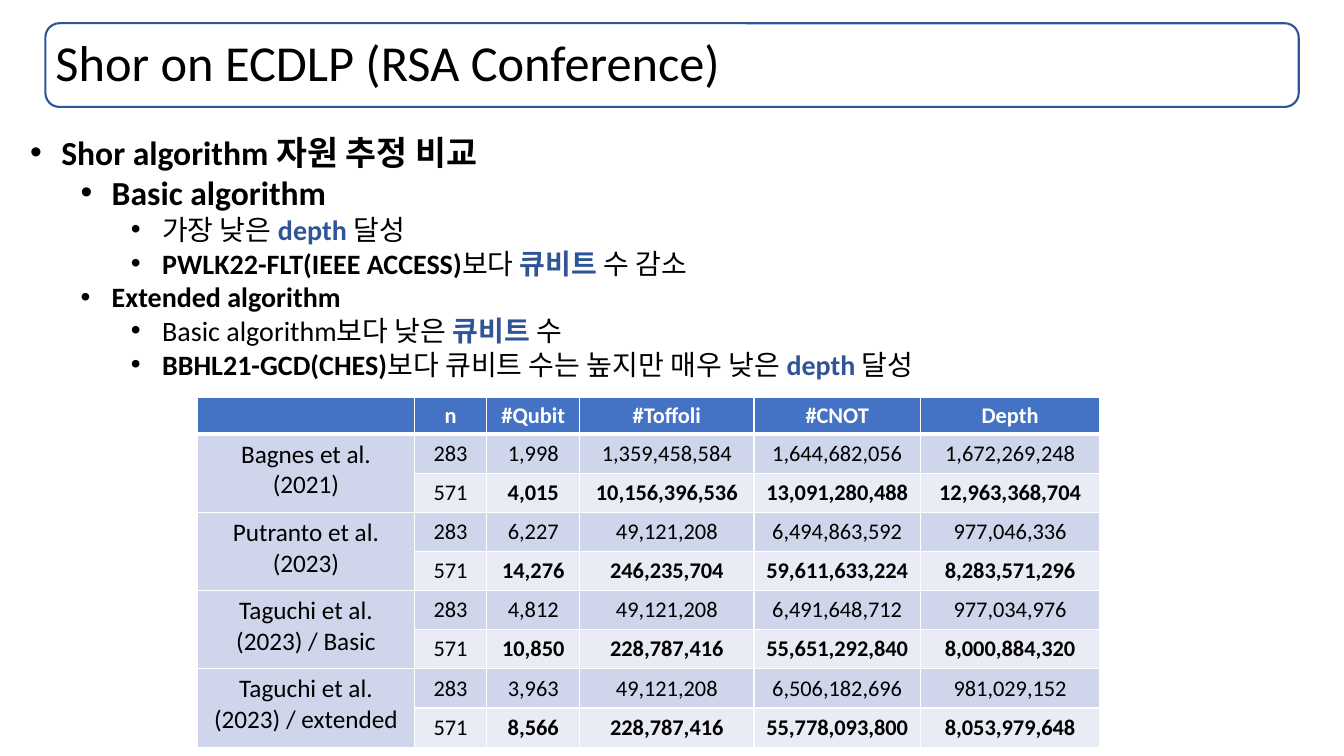
from dataclasses import dataclass

import lxml.etree
import pptx
import pptx.dml.color
import pptx.enum.shapes
import pptx.enum.text
import pptx.oxml.ns
import pptx.util

ANCHOR = pptx.enum.text.MSO_ANCHOR
ALIGN = pptx.enum.text.PP_ALIGN


@dataclass(frozen=True)
class Theme:
    font: str = "Calibri"
    text: str = "000000"
    white: str = "FFFFFF"
    accent: str = "2F5597"
    header: str = "4472C4"
    band_dark: str = "CFD5EA"
    band_light: str = "E9EBF5"
    title_size: int = 36
    heading_size: int = 24
    detail_size: int = 20
    name_size: int = 18
    cell_size: int = 16


@dataclass(frozen=True)
class Area:
    """Left, top, width and height in percent of the slide."""
    left: float
    top: float
    width: float
    height: float


@dataclass(frozen=True)
class Span:
    text: str
    bold: bool = False
    accent: bool = False


@dataclass(frozen=True)
class Bullet:
    level: int
    size: int
    spans: tuple[Span, ...]


@dataclass(frozen=True)
class Study:
    name: str
    small: tuple[str, ...]
    large: tuple[str, ...]


THEME = Theme()
SLIDE_WIDTH = pptx.util.Inches(13.33)
SLIDE_HEIGHT = pptx.util.Inches(7.5)
TITLE_AREA = Area(3.38, 3.07, 93.25, 11.07)
BODY_AREA = Area(1.5, 16.8, 83.8, 34.53)
TABLE_AREA = Area(14.7, 52.53, 67.2, 46)
COLUMN_SHARES = (16.13, 5.4, 6.9, 12.98, 12.38, 13.35)
HEADER_SHARE, ROW_SHARE = 4.53, 5.18
INDENT, INDENT_STEP = 0.31, 0.5

DEPTH = Span("depth ", bold=True, accent=True)
QUBIT = Span("큐비트 ", bold=True, accent=True)
BULLETS = (
    Bullet(0, THEME.heading_size, (Span("Shor algorithm 자원 추정 비교", bold=True),)),
    Bullet(1, THEME.heading_size, (Span("Basic algorithm", bold=True),)),
    Bullet(2, THEME.detail_size, (Span("가장 낮은 "), DEPTH, Span("달성"))),
    Bullet(2, THEME.detail_size, (Span("PWLK22-FLT(IEEE ACCESS)", bold=True),
                                  Span("보다 "), QUBIT, Span("수 감소"))),
    Bullet(1, THEME.detail_size, (Span("Extended algorithm", bold=True),)),
    Bullet(2, THEME.detail_size, (Span("Basic algorithm보다 낮은 "), QUBIT, Span("수"))),
    Bullet(2, THEME.detail_size, (Span("BBHL21-GCD(CHES)", bold=True),
                                  Span("보다 큐비트 수는 높지만 매우 낮은 "), DEPTH, Span("달성"))),
)

HEADINGS = ("", "n", "#Qubit", "#Toffoli", "#CNOT", "Depth")
STUDIES = (
    Study("Bagnes et al. (2021)",
          ("283", "1,998", "1,359,458,584", "1,644,682,056", "1,672,269,248"),
          ("571", "4,015", "10,156,396,536", "13,091,280,488", "12,963,368,704")),
    Study("Putranto et al. (2023)",
          ("283", "6,227", "49,121,208", "6,494,863,592", "977,046,336"),
          ("571", "14,276", "246,235,704", "59,611,633,224", "8,283,571,296")),
    Study("Taguchi et al.(2023) / Basic",
          ("283", "4,812", "49,121,208", "6,491,648,712", "977,034,976"),
          ("571", "10,850", "228,787,416", "55,651,292,840", "8,000,884,320")),
    Study("Taguchi et al. (2023) / extended",
          ("283", "3,963", "49,121,208", "6,506,182,696", "981,029,152"),
          ("571", "8,566", "228,787,416", "55,778,093,800", "8,053,979,648")),
)


def across(share: float) -> int:
    return round(SLIDE_WIDTH * share / 100)


def down(share: float) -> int:
    return round(SLIDE_HEIGHT * share / 100)


def place(area: Area) -> tuple[int, int, int, int]:
    return across(area.left), down(area.top), across(area.width), down(area.height)


def rgb(color: str) -> pptx.dml.color.RGBColor:
    return pptx.dml.color.RGBColor.from_string(color)


def set_font(font, size: int, color: str = THEME.text, bold: bool = False) -> None:
    font.name, font.size, font.bold = THEME.font, pptx.util.Pt(size), bold
    font.color.rgb = rgb(color)


def add_title(page, text: str) -> None:
    frame = page.shapes.add_shape(
        pptx.enum.shapes.MSO_SHAPE.ROUNDED_RECTANGLE, *place(TITLE_AREA))
    frame.shadow.inherit = False
    frame.fill.background()
    frame.line.color.rgb = rgb(THEME.accent)
    frame.line.width = pptx.util.Pt(1.5)

    title = page.shapes.title
    title.left, title.top, title.width, title.height = place(TITLE_AREA)
    title.text_frame.text = text
    title.text_frame.vertical_anchor = ANCHOR.MIDDLE
    para = title.text_frame.paragraphs[0]
    para.alignment, para.line_spacing = ALIGN.LEFT, 0.9
    set_font(para.font, THEME.title_size)


def add_bullets(page, bullets: tuple[Bullet, ...]) -> None:
    text = page.shapes.add_textbox(*place(BODY_AREA)).text_frame
    text.word_wrap = True
    text.auto_size = pptx.enum.text.MSO_AUTO_SIZE.SHAPE_TO_FIT_TEXT
    for index, bullet in enumerate(bullets):
        para = text.add_paragraph() if index else text.paragraphs[0]
        para.level = bullet.level
        props = para._p.get_or_add_pPr()
        props.set("marL", str(pptx.util.Inches(INDENT + INDENT_STEP * bullet.level)))
        props.set("indent", str(-pptx.util.Inches(INDENT)))
        for tag, key, value in (("a:buFont", "typeface", "Arial"), ("a:buChar", "char", "•")):
            lxml.etree.SubElement(props, pptx.oxml.ns.qn(tag)).set(key, value)
        set_font(para.font, bullet.size)
        for part in bullet.spans:
            span = para.add_run()
            span.text = part.text
            span.font.bold = part.bold
            if part.accent:
                span.font.color.rgb = rgb(THEME.accent)


def set_borders(cell, top: int = 1, bottom: int = 1) -> None:
    props = cell._tc.get_or_add_tcPr()
    for side, width in (("L", 1), ("R", 1), ("T", top), ("B", bottom)):
        line = lxml.etree.SubElement(props, pptx.oxml.ns.qn(f"a:ln{side}"))
        line.set("w", str(pptx.util.Pt(width)))
        fill = lxml.etree.SubElement(line, pptx.oxml.ns.qn("a:solidFill"))
        lxml.etree.SubElement(fill, pptx.oxml.ns.qn("a:srgbClr")).set("val", THEME.white)


def fill_cell(cell, text: str, fill: str, size: int = THEME.cell_size,
              color: str = THEME.text, bold: bool = False) -> None:
    cell.fill.solid()
    cell.fill.fore_color.rgb = rgb(fill)
    cell.vertical_anchor = ANCHOR.MIDDLE
    cell.text = text
    para = cell.text_frame.paragraphs[0]
    para.alignment = ALIGN.CENTER
    set_font(para.font, size, color, bold)


def add_results(page, studies: tuple[Study, ...]) -> None:
    rows = 1 + 2 * len(studies)
    table = page.shapes.add_table(rows, len(HEADINGS), *place(TABLE_AREA)).table
    for column, share in zip(table.columns, COLUMN_SHARES):
        column.width = across(share)
    for index, row in enumerate(table.rows):
        row.height = down(ROW_SHARE if index else HEADER_SHARE)
        for cell in row.cells:
            set_borders(cell, top=3 if index == 1 else 1, bottom=1 if index else 3)

    # Header row
    for column, heading in enumerate(HEADINGS):
        fill_cell(table.cell(0, column), heading, THEME.header, color=THEME.white, bold=True)

    # Two rows per study, sharing one name cell
    for index, study in enumerate(studies):
        top = 1 + 2 * index
        name = table.cell(top, 0)
        name.merge(table.cell(top + 1, 0))
        fill_cell(name, study.name, THEME.band_dark, THEME.name_size)
        name.vertical_anchor = ANCHOR.TOP
        for column, (small, large) in enumerate(zip(study.small, study.large), 1):
            fill_cell(table.cell(top, column), small, THEME.band_dark)
            fill_cell(table.cell(top + 1, column), large, THEME.band_light, bold=column > 1)


def main() -> None:
    deck = pptx.Presentation()
    deck.slide_width, deck.slide_height = SLIDE_WIDTH, SLIDE_HEIGHT
    page = deck.slides.add_slide(deck.slide_layouts.get_by_name("Title Only"))
    add_title(page, "Shor on ECDLP (RSA Conference)")
    add_bullets(page, BULLETS)
    add_results(page, STUDIES)
    deck.save("out.pptx")


if __name__ == "__main__":
    main()
